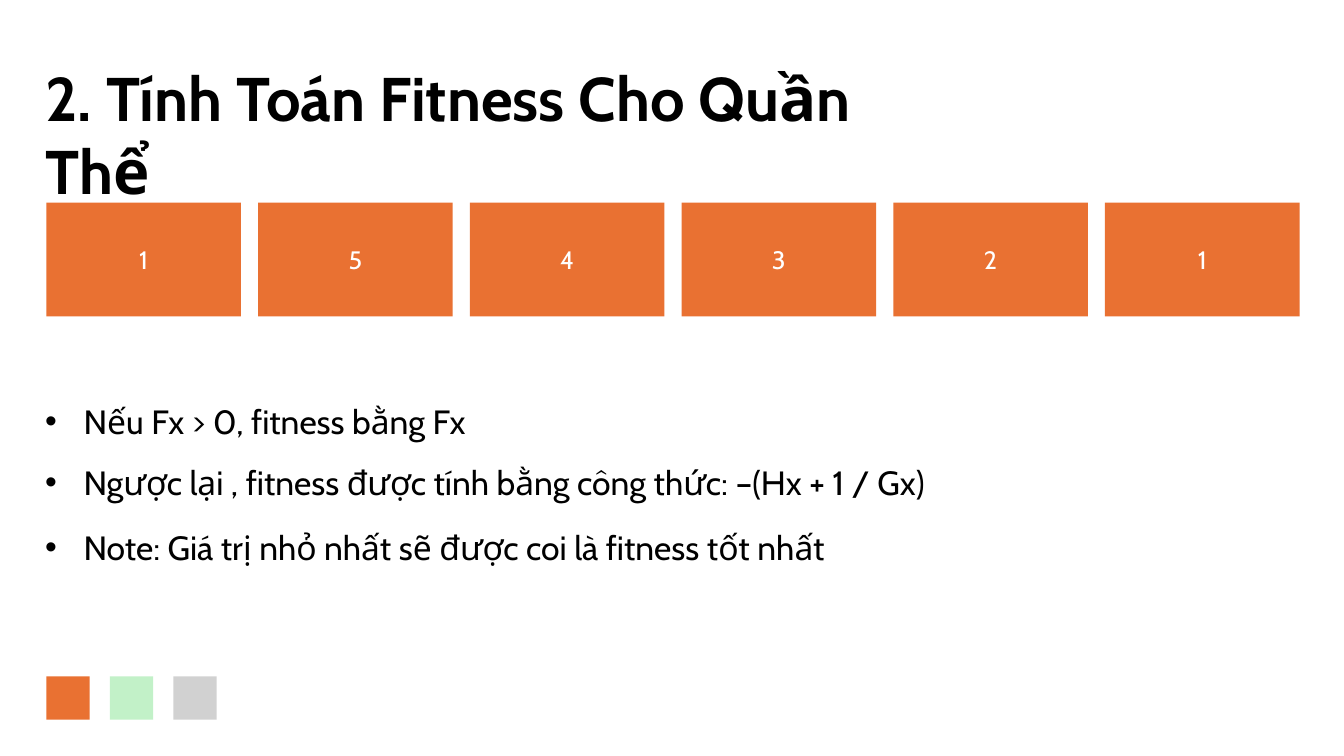
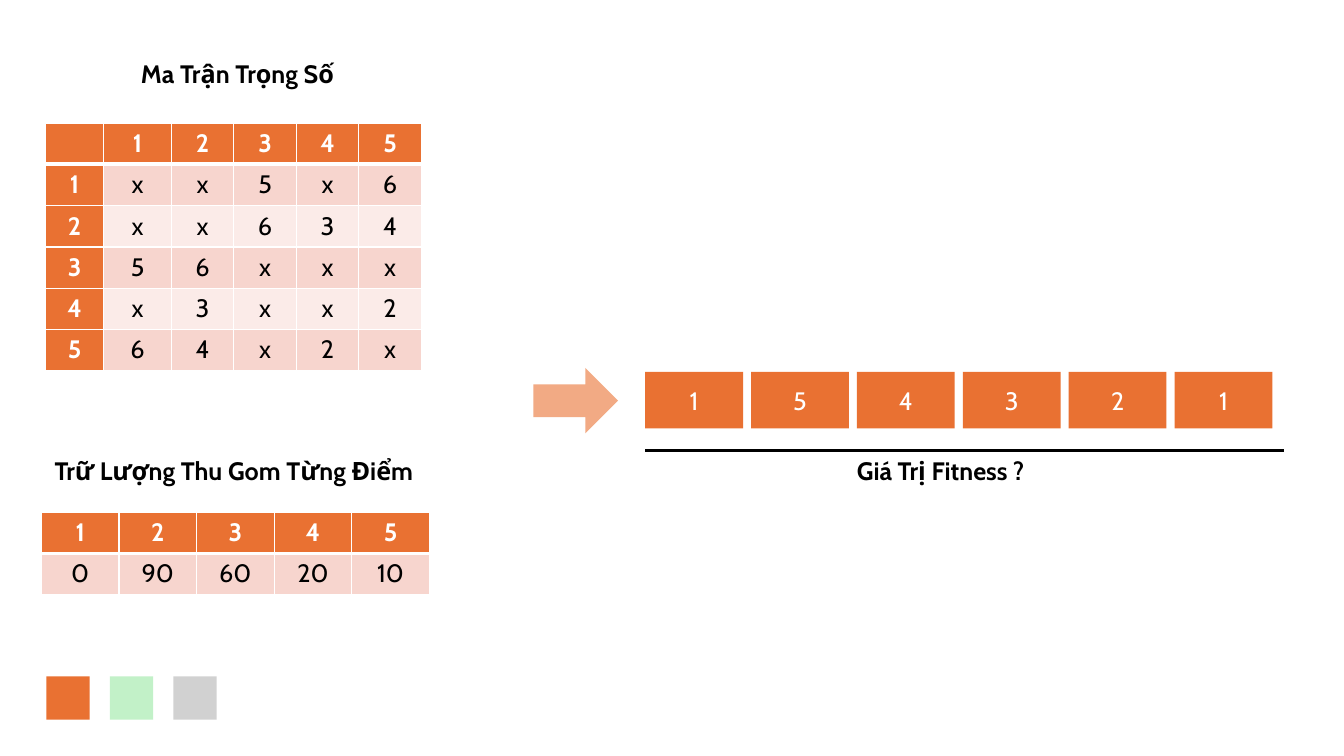
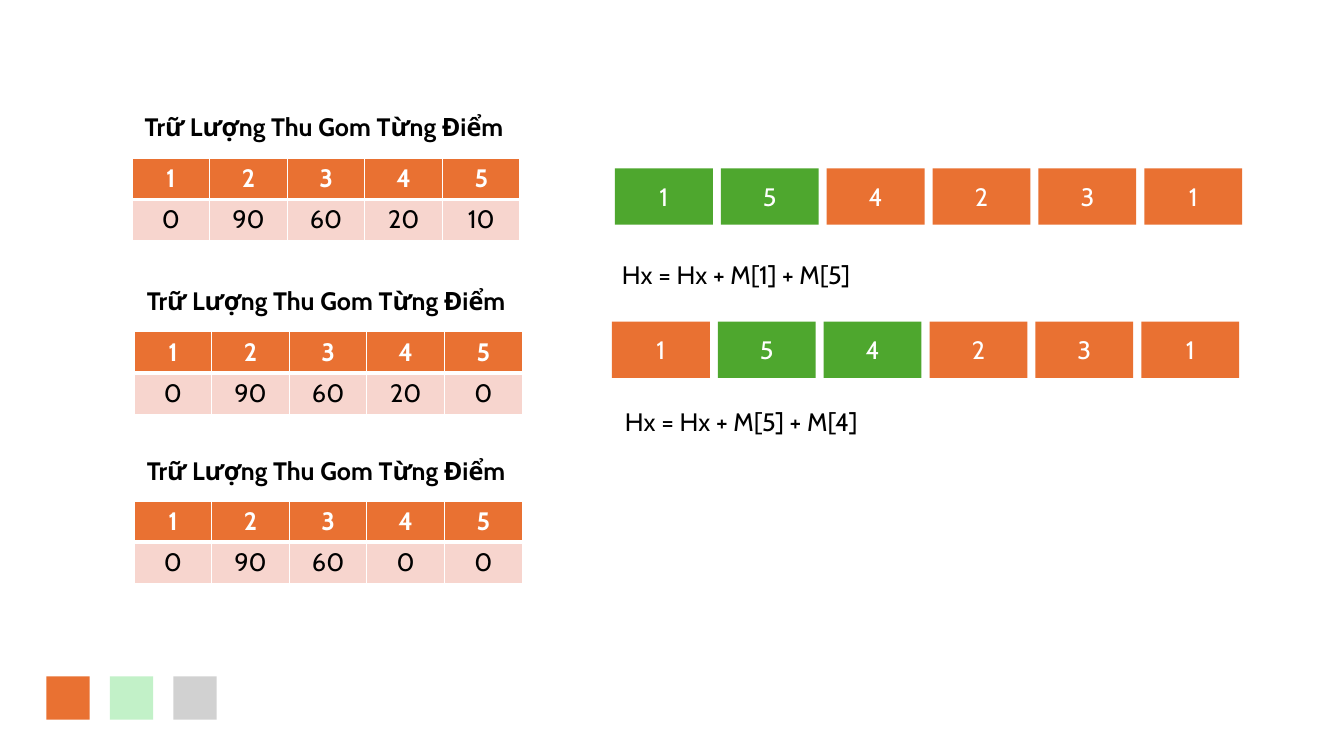
from dataclasses import dataclass

import pptx
import pptx.dml.color
import pptx.enum.shapes
import pptx.enum.text
import pptx.oxml.ns
import pptx.presentation
import pptx.shapes.autoshape
import pptx.slide
import pptx.text.text
import pptx.util
from lxml import etree

Inches = pptx.util.Inches
Pt = pptx.util.Pt
RGBColor = pptx.dml.color.RGBColor
MSO_SHAPE = pptx.enum.shapes.MSO_SHAPE
MSO_ANCHOR = pptx.enum.text.MSO_ANCHOR
PP_ALIGN = pptx.enum.text.PP_ALIGN
qn = pptx.oxml.ns.qn

FONT = "Cabin"
BODY_SIZE = 18
BLACK = RGBColor(0x00, 0x00, 0x00)
WHITE = RGBColor(0xFF, 0xFF, 0xFF)
ORANGE = RGBColor(0xE9, 0x71, 0x32)
PEACH = RGBColor(0xF2, 0xAA, 0x84)
GREEN = RGBColor(0x4E, 0xA7, 0x2E)
MINT = RGBColor(0xC2, 0xF1, 0xC8)
GRAY = RGBColor(0xD1, 0xD1, 0xD1)
BAND_DARK = RGBColor(0xF7, 0xD5, 0xCE)
BAND_LIGHT = RGBColor(0xFB, 0xEB, 0xE8)

TITLE_ONLY, BLANK = 5, 6
ROW_HEIGHT = 0.41
STOCK_LABEL = "Trữ Lượng Thu Gom Từng Điểm"
STOCK_COLUMNS = [0.77] * 5
MATRIX_COLUMNS = [0.58, 0.67] + [0.62] * 4
MATRIX = [
    ["", "1", "2", "3", "4", "5"],
    ["1", "x", "x", "5", "x", "6"],
    ["2", "x", "x", "6", "3", "4"],
    ["3", "5", "6", "x", "x", "x"],
    ["4", "x", "3", "x", "x", "2"],
    ["5", "6", "4", "x", "2", "x"],
]


@dataclass(frozen=True)
class Box:
    left: float
    top: float
    width: float
    height: float

    def emu(self) -> tuple[int, int, int, int]:
        return (Inches(self.left), Inches(self.top),
                Inches(self.width), Inches(self.height))


@dataclass(frozen=True)
class Route:
    """A row of stops; the stops in active are the leg being visited."""
    first: Box
    pitch: float
    stops: str
    active: tuple[int, ...] = ()


@dataclass(frozen=True)
class Stock:
    """The amounts left at each point, under a label."""
    label: Box
    left: float
    top: float
    amounts: list[str]


def style(p: pptx.text.text._Paragraph, size: float, color: RGBColor,
          bold: bool = False, align: PP_ALIGN = PP_ALIGN.LEFT) -> None:
    p.alignment = align
    p.font.name = FONT
    p.font.size = Pt(size)
    p.font.bold = bold
    p.font.color.rgb = color


def add_block(shapes, kind: MSO_SHAPE, box: Box,
              color: RGBColor) -> pptx.shapes.autoshape.Shape:
    sp = shapes.add_shape(kind, *box.emu())
    sp.shadow.inherit = False
    sp.fill.solid()
    sp.fill.fore_color.rgb = color
    sp.line.fill.background()
    return sp


def add_text(slide: pptx.slide.Slide, box: Box, lines: list[str],
             size: float = BODY_SIZE, bold: bool = False,
             align: PP_ALIGN = PP_ALIGN.LEFT) -> pptx.text.text.TextFrame:
    tf = slide.shapes.add_textbox(*box.emu()).text_frame
    tf.word_wrap = True
    tf.auto_size = pptx.enum.text.MSO_AUTO_SIZE.SHAPE_TO_FIT_TEXT
    tf.text = "\n".join(lines)
    for p in tf.paragraphs:
        style(p, size, BLACK, bold, align)
    return tf


def add_bullets(slide: pptx.slide.Slide, box: Box, lines: list[str]) -> None:
    for p in add_text(slide, box, lines, size=24).paragraphs:
        p.line_spacing = 1.5
        pPr = p._p.get_or_add_pPr()
        pPr.set("marL", str(Inches(0.38)))
        pPr.set("indent", str(-Inches(0.38)))
        bullet = [etree.Element(qn("a:buFont"), typeface="Arial"),
                  etree.Element(qn("a:buChar"), char="•")]
        defaults = pPr.find(qn("a:defRPr"))
        for el in bullet:
            defaults.addprevious(el)


def add_route(slide: pptx.slide.Slide, route: Route) -> None:
    group = slide.shapes.add_group_shape()
    first = route.first
    for i, stop in enumerate(route.stops):
        box = Box(first.left + i * route.pitch, first.top, first.width, first.height)
        color = GREEN if i in route.active else ORANGE
        tf = add_block(group.shapes, MSO_SHAPE.RECTANGLE, box, color).text_frame
        tf.vertical_anchor = MSO_ANCHOR.MIDDLE
        tf.text = stop
        style(tf.paragraphs[0], BODY_SIZE, WHITE, align=PP_ALIGN.CENTER)


def set_borders(cell, bottom: float, top: float) -> None:
    tcPr = cell._tc.get_or_add_tcPr()
    for side, width in (("L", 1), ("R", 1), ("T", top), ("B", bottom)):
        ln = etree.SubElement(tcPr, qn(f"a:ln{side}"), w=str(Pt(width)))
        fill = etree.SubElement(ln, qn("a:solidFill"))
        etree.SubElement(fill, qn("a:srgbClr"), val=str(WHITE))


def add_table(slide: pptx.slide.Slide, left: float, top: float,
              columns: list[float], rows: list[list[str]],
              header_column: bool = False) -> None:
    box = Box(left, top, sum(columns), ROW_HEIGHT * len(rows))
    table = slide.shapes.add_table(len(rows), len(columns), *box.emu()).table
    table.first_col = header_column
    for column, width in zip(table.columns, columns):
        column.width = Inches(width)
    for r, row in enumerate(rows):
        for c, text in enumerate(row):
            cell = table.cell(r, c)
            header = r == 0 or (header_column and c == 0)
            set_borders(cell, bottom=3 if r == 0 else 1, top=3 if r == 1 else 1)
            cell.fill.solid()
            band = BAND_DARK if r % 2 else BAND_LIGHT
            cell.fill.fore_color.rgb = ORANGE if header else band
            cell.text = text
            style(cell.text_frame.paragraphs[0], BODY_SIZE,
                  WHITE if header else BLACK, header, PP_ALIGN.CENTER)


def add_stock(slide: pptx.slide.Slide, stock: Stock) -> None:
    add_text(slide, stock.label, [STOCK_LABEL], bold=True, align=PP_ALIGN.CENTER)
    add_table(slide, stock.left, stock.top, STOCK_COLUMNS,
              [list("12345"), stock.amounts])


def add_slide(prs: pptx.presentation.Presentation, layout: int) -> pptx.slide.Slide:
    """Adds a slide with the three footer squares."""
    slide = prs.slides.add_slide(prs.slide_layouts[layout])
    for i, color in enumerate((ORANGE, MINT, GRAY)):
        box = Box(0.46 + i * 0.63, 6.71, 0.43, 0.43)
        add_block(slide.shapes, MSO_SHAPE.RECTANGLE, box, color)
    return slide


def build_fitness_rules(prs: pptx.presentation.Presentation) -> None:
    slide = add_slide(prs, TITLE_ONLY)
    title = slide.shapes.title
    title.left, title.top, title.width, title.height = Box(0.35, 0.54, 9.2, 0.84).emu()
    tf = title.text_frame
    tf.text = "2. Tính Toán Fitness Cho Quần Thể"
    tf.word_wrap = True
    tf.auto_size = pptx.enum.text.MSO_AUTO_SIZE.NONE
    tf.vertical_anchor = MSO_ANCHOR.TOP
    style(tf.paragraphs[0], 44, BLACK, bold=True)

    add_route(slide, Route(Box(0.46, 2.01, 1.93, 1.13), 2.1, "154321"))
    add_bullets(slide, Box(0.35, 3.73, 12.28, 1.25), [
        "Nếu Fx > 0, fitness bằng Fx",
        "Ngược lại , fitness được tính bằng công thức: –(Hx + 1 / Gx)",
    ])
    add_bullets(slide, Box(0.35, 4.98, 12.28, 0.65),
                ["Note: Giá trị nhỏ nhất sẽ được coi là fitness tốt nhất"])


def build_inputs(prs: pptx.presentation.Presentation) -> None:
    slide = add_slide(prs, BLANK)
    add_text(slide, Box(1.3, 0.53, 2.39, 0.4), ["Ma Trận Trọng Số"], bold=True)
    add_table(slide, 0.45, 1.22, MATRIX_COLUMNS, MATRIX, header_column=True)
    add_stock(slide, Stock(Box(-0.28, 4.47, 5.2, 0.4), 0.41, 5.08,
                           ["0", "90", "60", "20", "10"]))
    add_block(slide.shapes, MSO_SHAPE.RIGHT_ARROW, Box(5.29, 3.65, 0.84, 0.65), PEACH)
    add_route(slide, Route(Box(6.4, 3.69, 0.97, 0.56), 1.05, "154321"))

    rule = slide.shapes.add_connector(
        pptx.enum.shapes.MSO_CONNECTOR.STRAIGHT,
        Inches(6.4), Inches(4.47), Inches(12.73), Inches(4.47))
    rule.line.color.rgb = BLACK
    rule.line.width = Pt(1.5)
    etree.SubElement(rule._element.spPr, qn("a:effectLst"))
    add_text(slide, Box(7.89, 4.47, 2.88, 0.4), ["Giá Trị Fitness ?"],
             bold=True, align=PP_ALIGN.CENTER)


def build_steps(prs: pptx.presentation.Presentation) -> None:
    slide = add_slide(prs, BLANK)
    for stock in (
        Stock(Box(1.3, 1.06, 3.83, 0.4), 1.31, 1.57, ["0", "90", "60", "20", "10"]),
        Stock(Box(1.32, 2.78, 3.83, 0.4), 1.33, 3.29, ["0", "90", "60", "20", "0"]),
        Stock(Box(1.32, 4.47, 3.83, 0.4), 1.33, 4.97, ["0", "90", "60", "0", "0"]),
    ):
        add_stock(slide, stock)
    for route in (
        Route(Box(6.1, 1.67, 0.97, 0.56), 1.05, "154231", (0, 1)),
        Route(Box(6.07, 3.19, 0.97, 0.56), 1.05, "154231", (1, 2)),
    ):
        add_route(slide, route)
    add_text(slide, Box(6.07, 2.52, 3.48, 0.4), ["Hx = Hx + M[1] + M[5]"])
    add_text(slide, Box(6.1, 3.98, 3.06, 0.4), ["Hx = Hx + M[5] + M[4]"])


def main() -> None:
    prs = pptx.Presentation()
    prs.slide_width = Inches(13.33)
    prs.slide_height = Inches(7.5)
    build_fitness_rules(prs)
    build_inputs(prs)
    build_steps(prs)
    prs.save("out.pptx")


if __name__ == "__main__":
    main()
